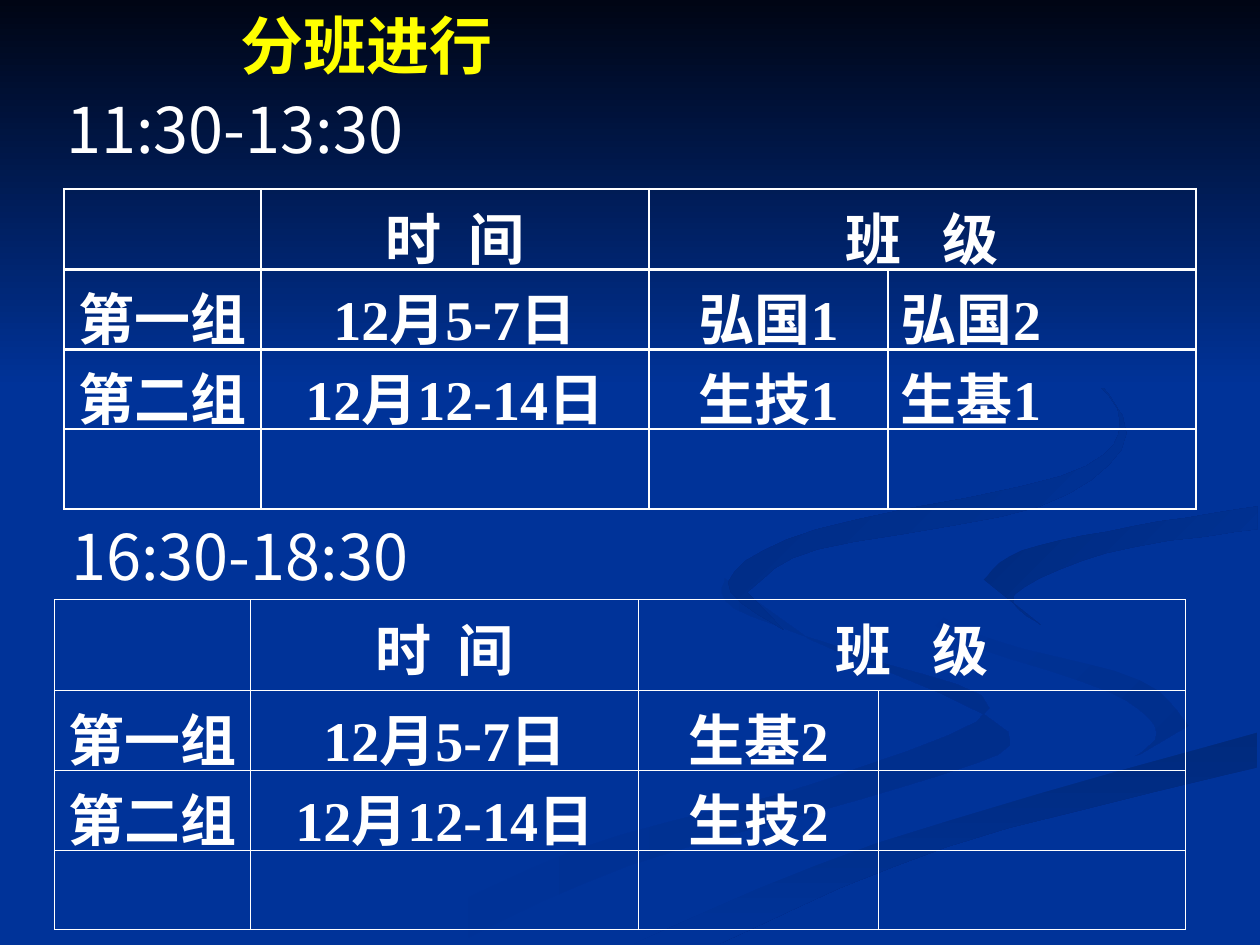
from dataclasses import dataclass

from lxml import etree
from pptx import Presentation
from pptx.dml.color import RGBColor
from pptx.enum.shapes import MSO_SHAPE
from pptx.enum.text import MSO_ANCHOR, PP_ALIGN
from pptx.oxml.ns import qn
from pptx.util import Inches, Pt

RECTANGLE = MSO_SHAPE.RECTANGLE
MIDDLE = MSO_ANCHOR.MIDDLE
LEFT, CENTER = PP_ALIGN.LEFT, PP_ALIGN.CENTER


@dataclass(frozen=True)
class Theme:
    """Colours, fonts and type sizes of the slide."""
    blue: str = "003399"
    ribbon: str = "002E8B"
    ribbon_dark: str = "002A7D"
    night: str = "000514"
    white: str = "FFFFFF"
    yellow: str = "FFFF00"
    title_font: str = "Roboto"
    time_font: str = "Noto Sans CJK SC"
    table_font: str = "Times New Roman"
    heading_size: int = 36
    table_size: int = 32


THEME = Theme()

COLUMN_WIDTHS = (1.56, 3.08, 1.9, 2.44)
ROW_HEIGHT = 0.63
HEADER = ("", "时 间", "班 级", "")
HEADER_TRACKING = {"时 间": 4, "班 级": 8}
EMPTY_ROW = ("", "", "", "")
NOON_ROWS = (
    HEADER,
    ("第一组", "12月5-7日", "弘国1", "弘国2"),
    ("第二组", "12月12-14日", "生技1", "生基1"),
    EMPTY_ROW,
)
EVENING_ROWS = (
    HEADER,
    ("第一组", "12月5-7日", "生基2", ""),
    ("第二组", "12月12-14日", "生技2", ""),
    EMPTY_ROW,
)

CURVE_STEPS = 5
RIBBONS = (
    (THEME.blue, THEME.ribbon, 0, (
        ((575, 459), (583, 483), (679, 519), (785, 562), (652, 620), (458, 674), (300, 749)),
        ((361, 749), (499, 687), (721, 623), (800, 581), (642, 507)))),
    (THEME.blue, THEME.ribbon, 45, (
        ((724, 464), (755, 505), (880, 549), (918, 581), (894, 605)),
        ((943, 576), (905, 540), (792, 509), (733, 483)))),
    (THEME.ribbon_dark, THEME.blue, 90, (
        ((503, 749), (696, 669), (998, 581)),
        ((998, 609), (752, 672), (571, 749)))),
    (THEME.blue, THEME.blue, 0, (
        ((725, 464), (775, 503), (905, 540), (936, 587), (743, 643), (477, 749)),
        ((503, 749), (696, 669), (999, 581)),
        ((999, 538), (848, 503), (782, 460), (865, 424), (999, 402)),
        ((999, 387), (808, 417), (725, 464)))),
    (THEME.ribbon_dark, THEME.blue, 45, (
        ((781, 460), (811, 437), (898, 418), (998, 402)),
        ((998, 420), (878, 439), (805, 472), (826, 496)))),
    (THEME.ribbon_dark, THEME.blue, 45, (
        ((762, 233), (846, 279), (889, 335), (842, 378), (649, 420), (578, 462), (622, 500)),
        ((593, 470), (649, 436), (825, 402), (894, 344), (843, 275)))),
)


def smooth_edge(knots):
    """Return points on a Catmull-Rom curve through the knots."""
    padded = (knots[0], *knots, knots[-1])
    points = []
    for a, b, c, d in zip(padded, padded[1:], padded[2:], padded[3:]):
        for step in range(CURVE_STEPS):
            t = step / CURVE_STEPS
            points.append(tuple(
                round(q + t / 2 * (r - p + t * (2 * p - 5 * q + 4 * r - s
                                                + t * (3 * q - p - 3 * r + s))))
                for p, q, r, s in zip(a, b, c, d)))
    return points + [knots[-1]]


def style_gradient(shape, start, end, angle):
    """Fill a borderless shape with a two-colour gradient turned clockwise."""
    shape.shadow.inherit = False
    shape.line.fill.background()
    shape.fill.gradient()
    shape.fill.gradient_angle = -angle % 360
    for stop, color in zip(shape.fill.gradient_stops, (start, end)):
        stop.color.rgb = RGBColor.from_string(color)


def write_text(text_frame, text, *, font, size, color=THEME.white, bold=False,
               align=LEFT, tracking=0):
    """Write one formatted line into a text frame."""
    paragraph = text_frame.paragraphs[0]
    paragraph.alignment = align
    run = paragraph.add_run()
    run.text = text
    run.font.name = font
    run.font.size = Pt(size)
    run.font.bold = bold
    run.font.color.rgb = RGBColor.from_string(color)
    if tracking:
        run.font._element.set("spc", str(tracking * 100))


def add_backdrop(slide, left, top, width, height):
    """Draw the blue ground, its ribbons and the dark upper fade."""
    slide.background.fill.solid()
    slide.background.fill.fore_color.rgb = RGBColor.from_string(THEME.blue)
    for start, end, angle, edges in RIBBONS:
        points = [point for edge in edges for point in smooth_edge(edge)]
        builder = slide.shapes.build_freeform(*points[0], scale=Inches(0.01))
        builder.add_line_segments(points[1:], close=True)
        ribbon = builder.convert_to_shape(Inches(left), Inches(top))
        style_gradient(ribbon, start, end, angle)
    fade = slide.shapes.add_shape(
        RECTANGLE, Inches(left), Inches(top), Inches(width), Inches(height))
    style_gradient(fade, THEME.night, THEME.blue, 90)


def add_heading(slide, left, top, width, height, text, **text_format):
    """Place a one-line heading."""
    box = slide.shapes.add_textbox(
        Inches(left), Inches(top), Inches(width), Inches(height))
    box.text_frame.word_wrap = True
    write_text(box.text_frame, text, size=THEME.heading_size, **text_format)


def style_cell(cell, border_width):
    """Give a cell white borders, no fill and a middle anchor."""
    properties = cell._tc.get_or_add_tcPr()
    for side in ("a:lnL", "a:lnR", "a:lnT", "a:lnB"):
        line = etree.SubElement(properties, qn(side), w=str(Pt(border_width)))
        fill = etree.SubElement(line, qn("a:solidFill"))
        etree.SubElement(fill, qn("a:srgbClr"), val=THEME.white)
    cell.fill.background()
    cell.vertical_anchor = MIDDLE
    cell.margin_left = cell.margin_right = Inches(0.1)
    cell.margin_top = cell.margin_bottom = Inches(0.05)


def add_schedule(slide, left, top, width, height, rows, border_width):
    """Place a timetable whose header row takes the height left over."""
    table = slide.shapes.add_table(
        len(rows), len(COLUMN_WIDTHS), Inches(left), Inches(top),
        Inches(width), Inches(height)).table
    table.first_row = table.horz_banding = False
    for column, column_width in zip(table.columns, COLUMN_WIDTHS):
        column.width = Inches(column_width)
    for row_index, row in enumerate(rows):
        header_height = height - ROW_HEIGHT * (len(rows) - 1)
        table.rows[row_index].height = Inches(ROW_HEIGHT if row_index else header_height)
        for column_index, text in enumerate(row):
            cell = table.cell(row_index, column_index)
            style_cell(cell, border_width)
            if text:
                write_text(cell.text_frame, text, font=THEME.table_font,
                           size=THEME.table_size, bold=True,
                           align=LEFT if column_index == 3 else CENTER,
                           tracking=HEADER_TRACKING.get(text, 0))
    table.cell(0, 2).merge(table.cell(0, 3))


def main():
    """Build the class timetable slide."""
    presentation = Presentation()
    presentation.slide_width = Inches(10)
    presentation.slide_height = Inches(7.5)
    slide = presentation.slides.add_slide(presentation.slide_layouts[6])
    add_backdrop(slide, 0, 0, 10, 3.08)
    add_heading(slide, 0.43, 0.67, 9.13, 0.7, "11:30-13:30", font=THEME.time_font)
    add_heading(slide, 1.81, 0, 6.38, 0.7, "分班进行", font=THEME.title_font,
                color=THEME.yellow, bold=True)
    add_schedule(slide, 0.51, 1.5, 8.98, 2.53, NOON_ROWS, 1.47)
    add_heading(slide, 0.47, 4.06, 9.13, 0.7, "16:30-18:30", font=THEME.time_font)
    add_schedule(slide, 0.43, 4.76, 8.98, 2.61, EVENING_ROWS, 0.45)
    presentation.save("out.pptx")


if __name__ == "__main__":
    main()
